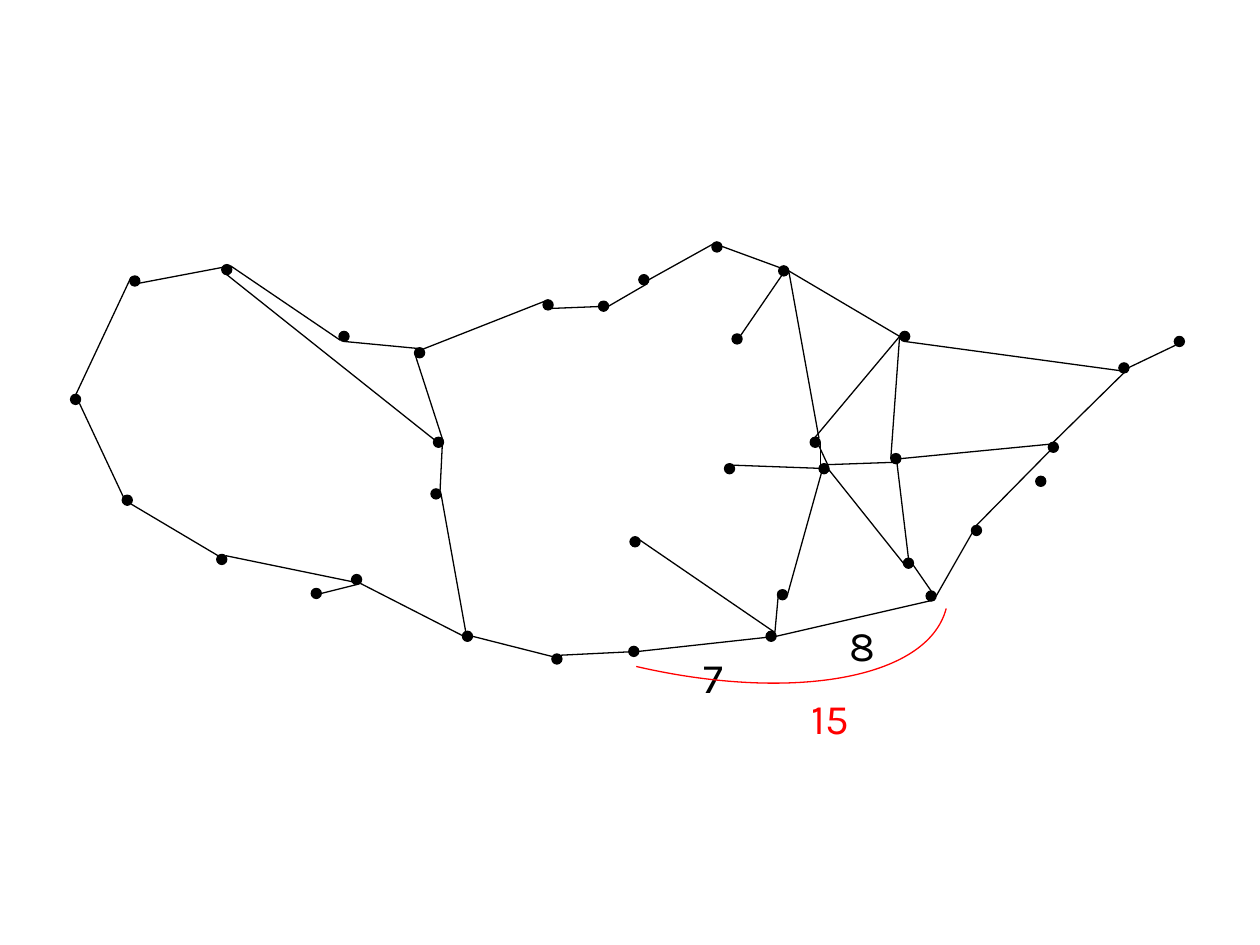
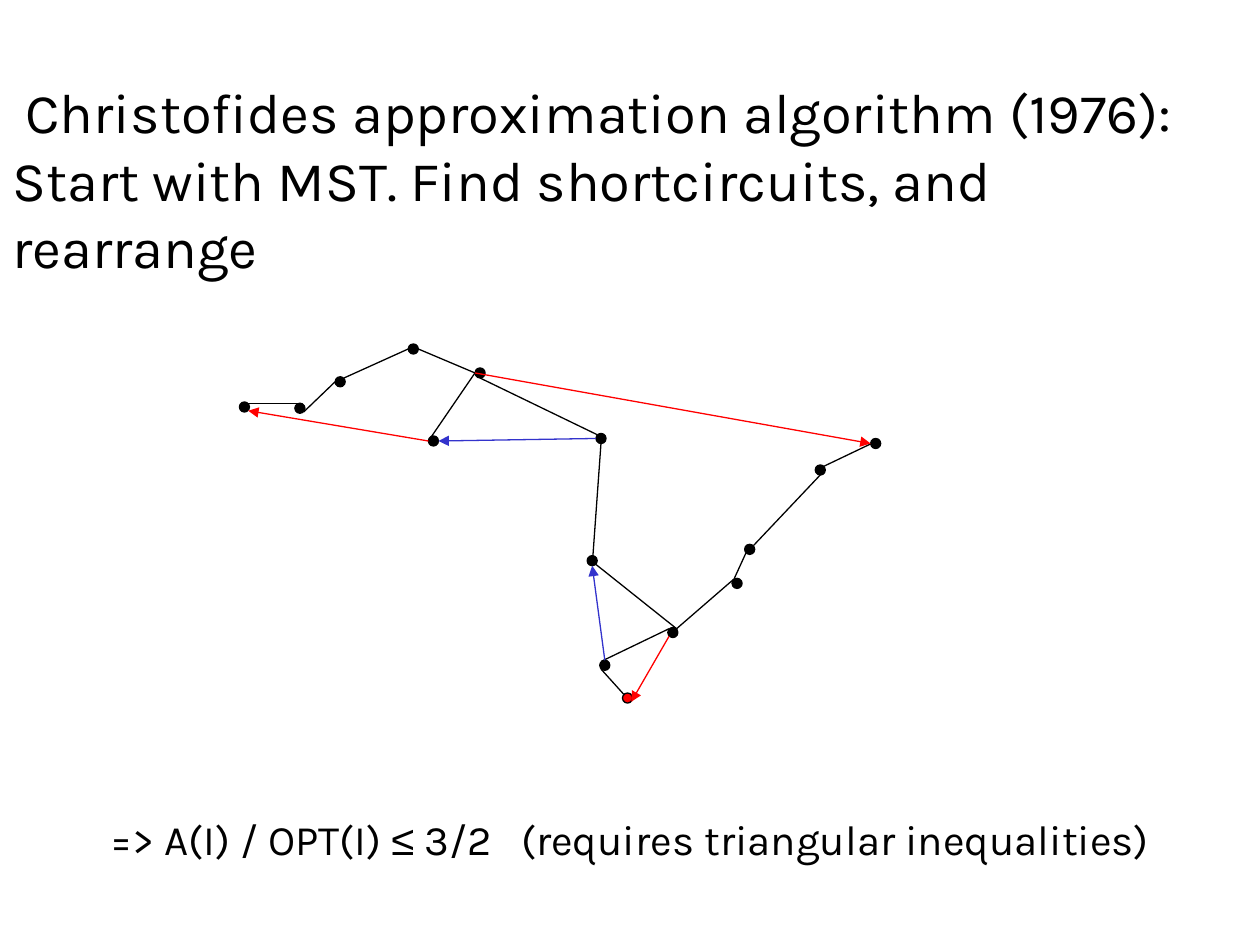
"""Build two slides on tours through a point graph and the Christofides algorithm."""
import dataclasses
import itertools

import lxml.etree
import pptx
import pptx.dml.color
import pptx.enum.shapes
import pptx.enum.text
import pptx.oxml.ns
import pptx.util

PX = 9144
DOT = 8
qualified = pptx.oxml.ns.qn


@dataclasses.dataclass(frozen=True)
class Theme:
    ink: str = "000000"
    detour: str = "FF0000"
    shortcut: str = "3333CC"
    font: str = "Karla"
    symbol_font: str = "Arial"
    heading: int = 32
    label: int = 24
    line: float = 0.75


REGIONS = {
    "W": [(56, 313), (103, 219), (176, 210), (269, 263), (329, 276), (344, 347),
          (342, 388), (367, 501), (279, 456), (247, 467), (172, 440), (97, 393)],
    "N": [(431, 238), (475, 239), (507, 218), (565, 192), (618, 211), (581, 265)],
    "S": [(438, 519), (499, 513), (608, 501), (500, 426), (617, 468)],
    "C": [(643, 347), (650, 368), (575, 368), (707, 360)],
    "E": [(714, 263), (888, 288), (932, 267), (832, 351),
          (822, 378), (771, 417), (735, 469), (717, 443)],
}
VERTICES = {f"{region}{number}": spot
            for region, spots in REGIONS.items()
            for number, spot in enumerate(spots, start=1)}

NEAR, MIDDLE, FAR = 1, DOT // 2, DOT - 1
SITES = {
    "n": (MIDDLE, 0), "ne": (FAR, NEAR), "e": (DOT, MIDDLE), "se": (FAR, FAR),
    "s": (MIDDLE, DOT), "sw": (NEAR, FAR), "w": (0, MIDDLE), "nw": (NEAR, NEAR),
}

MAP_ROUTES = [
    "W1.sw W2.nw", "W2.sw W3.ne W4.sw", "W4.s W5.ne N1.n", "W3.s W6.se W7.se",
    "W5.w W6.e", "W7.e W8.s", "W8.se W9.se W11.ne", "W9.s W10.e", "W11.nw W12.se",
    "W1.se W12.s", "W8.e S1.e",
    "N1.sw N2.e N3.se", "N3.e N4.n", "C1.ne N5.e N4.nw", "N5.ne N6.ne", "N5.e E1.w C1.n",
    "S1.ne S2.e S3.e E7.se", "S4.n S3.ne S5.nw", "S5.e C2.n E8.w",
    "C2.e C3.nw", "C2.ne C1.se", "C1.e C2.nw C4.sw", "E1.w C4.w", "C4.n E8.n E7.n",
    "E7.e E6.n", "E6.w E4.ne C4.e", "E4.n E2.e", "E1.s E2.se", "E2.sw E3.sw",
]

TREE_SHIFT = (-241, 81)
TREE_VERTICES = {name: (left + TREE_SHIFT[0], top + TREE_SHIFT[1])
                 for name, (left, top) in VERTICES.items()
                 if name[0] in "NE" or name == "C4"}
TREE_ROUTES = [
    "N1.ne N2.n", "N2.se N3.w", "N3.ne N4.w", "N4.e N5.w N6.w", "N5.s E1.nw",
    "E1.s C4.s", "C4.se E6.ne E5.nw", "E5.w E4.sw", "E4.ne E2.s", "E2.ne E3.ne",
    "E6.nw E8.nw", "E8.sw E7.nw",
]
DETOURS = ["E6.sw E7.se", "N5.w E3.w", "N6.w N1.se"]
SHORTCUTS = ["E8.n C4.s", "E1.w N6.e"]


class Sketch:
    """Draws styled elements on the current slide of a deck."""

    def __init__(self, theme):
        self.theme = theme
        self.deck = pptx.Presentation()
        self.deck.slide_width = 1000 * PX
        self.deck.slide_height = 750 * PX
        self.page = None

    def new_page(self):
        """Start a blank slide."""
        self.page = self.deck.slides.add_slide(self.deck.slide_layouts[6])

    def style_line(self, line, color):
        """Give a line its colour and the shared width."""
        line.color.rgb = pptx.dml.color.RGBColor.from_string(color)
        line.width = pptx.util.Pt(self.theme.line)

    def dot(self, left, top, fill):
        """Draw one graph vertex."""
        shape = self.page.shapes.add_shape(
            pptx.enum.shapes.MSO_SHAPE.FLOWCHART_CONNECTOR,
            left * PX, top * PX, DOT * PX, DOT * PX)
        shape.shadow.inherit = False
        shape.fill.solid()
        shape.fill.fore_color.rgb = pptx.dml.color.RGBColor.from_string(fill)
        self.style_line(shape.line, self.theme.ink)

    def edge(self, start, end, color, arrow):
        """Draw a straight edge, with an arrowhead at its end if asked."""
        connector = self.page.shapes.add_connector(
            pptx.enum.shapes.MSO_CONNECTOR.STRAIGHT,
            *(length * PX for length in (*start, *end)))
        self.style_line(connector.line, color)
        properties = connector._element.spPr
        if arrow:
            outline = properties.find(qualified("a:ln"))
            lxml.etree.SubElement(outline, qualified("a:tailEnd"), type="triangle")
        lxml.etree.SubElement(properties, qualified("a:effectLst"))

    def vertices(self, vertices, marked=()):
        """Draw all vertices, the marked ones in the detour colour."""
        for name, spot in vertices.items():
            self.dot(*spot, self.theme.detour if name in marked else self.theme.ink)

    def routes(self, vertices, routes, color=None, arrow=False):
        """Draw routes, each a row of stops written as vertex.site."""
        for route in routes:
            points = []
            for stop in route.split():
                name, site = stop.split(".")
                (left, top), (across, down) = vertices[name], SITES[site]
                points.append((left + across, top + down))
            for start, end in itertools.pairwise(points):
                self.edge(start, end, color or self.theme.ink, arrow)

    def curve(self, points, color):
        """Draw a cubic curve from a start, two controls and an end."""
        builder = self.page.shapes.build_freeform(*points[0], scale=PX)
        builder.add_line_segments(points[1:], close=False)
        shape = builder.convert_to_shape()
        shape.shadow.inherit = False
        shape.fill.background()
        self.style_line(shape.line, color)
        outline = next(shape._element.iter(qualified("a:path")))
        bezier = lxml.etree.SubElement(outline, qualified("a:cubicBezTo"))
        for segment in outline.findall(qualified("a:lnTo")):
            bezier.append(segment[0])
            outline.remove(segment)

    def text(self, left, top, width, height, lines, size, color=None, wrap=True, centred=False):
        """Write one paragraph per line and return the paragraphs."""
        box = self.page.shapes.add_textbox(left * PX, top * PX, width * PX, height * PX)
        frame = box.text_frame
        frame.word_wrap = wrap
        frame.auto_size = pptx.enum.text.MSO_AUTO_SIZE.SHAPE_TO_FIT_TEXT
        frame.text = "\n".join(lines)
        align = pptx.enum.text.PP_ALIGN
        for para in frame.paragraphs:
            para.alignment = align.CENTER if centred else align.LEFT
            para.font.name = self.theme.font
            para.font.size = pptx.util.Pt(size)
            para.font.color.rgb = pptx.dml.color.RGBColor.from_string(color or self.theme.ink)
        return frame.paragraphs

    def weight(self, left, top, width, label, color=None):
        """Write the length of an edge."""
        self.text(left, top, width, 50, [label], self.theme.label, color, wrap=False, centred=True)

    def bound(self, left, top, width, pieces, remark, tab):
        """Write a formula around a symbol, then a remark at a tab stop."""
        para = self.text(left, top, width, 50, [""], self.theme.label)[0]
        before, symbol, after = pieces
        for piece in (before, symbol, f"{after}\t{remark}"):
            span = para.add_run()
            span.text = piece
            span.font.name = self.theme.symbol_font if piece == symbol else self.theme.font
        stops = lxml.etree.Element(qualified("a:tabLst"))
        lxml.etree.SubElement(stops, qualified("a:tab"), pos=str(tab * PX), algn="l")
        properties = para._p.get_or_add_pPr()
        properties.insert_element_before(stops, "a:defRPr", "a:extLst")


def draw_shortcut_lengths(sketch):
    """Show the graph with the added length of one shortcut."""
    sketch.new_page()
    sketch.vertices(VERTICES)
    sketch.routes(VERTICES, MAP_ROUTES)
    sketch.weight(547, 512, 39, "7")
    sketch.weight(664, 487, 39, "8")
    sketch.curve([(505, 529), (626, 557), (736, 540), (751, 483)], sketch.theme.detour)
    sketch.weight(630, 545, 58, "15", sketch.theme.detour)


def draw_christofides(sketch):
    """Show the spanning tree with its shortcuts and the resulting bound."""
    theme = sketch.theme
    sketch.new_page()
    sketch.text(0, 57, 1000, 170, [
        " Christofides approximation algorithm (1976):",
        "Start with MST. Find shortcircuits, and rearrange",
    ], theme.heading)
    sketch.bound(78, 641, 870, ("=> A(I) / OPT(I) ", "≤", " 3/2"),
                 "(requires triangular inequalities)", 326)
    sketch.vertices(TREE_VERTICES, marked=("E7",))
    sketch.routes(TREE_VERTICES, TREE_ROUTES)
    sketch.routes(TREE_VERTICES, DETOURS, theme.detour, arrow=True)
    sketch.routes(TREE_VERTICES, SHORTCUTS, theme.shortcut, arrow=True)


def main():
    """Build and save the deck."""
    sketch = Sketch(Theme())
    draw_shortcut_lengths(sketch)
    draw_christofides(sketch)
    sketch.deck.save("out.pptx")


if __name__ == "__main__":
    main()
